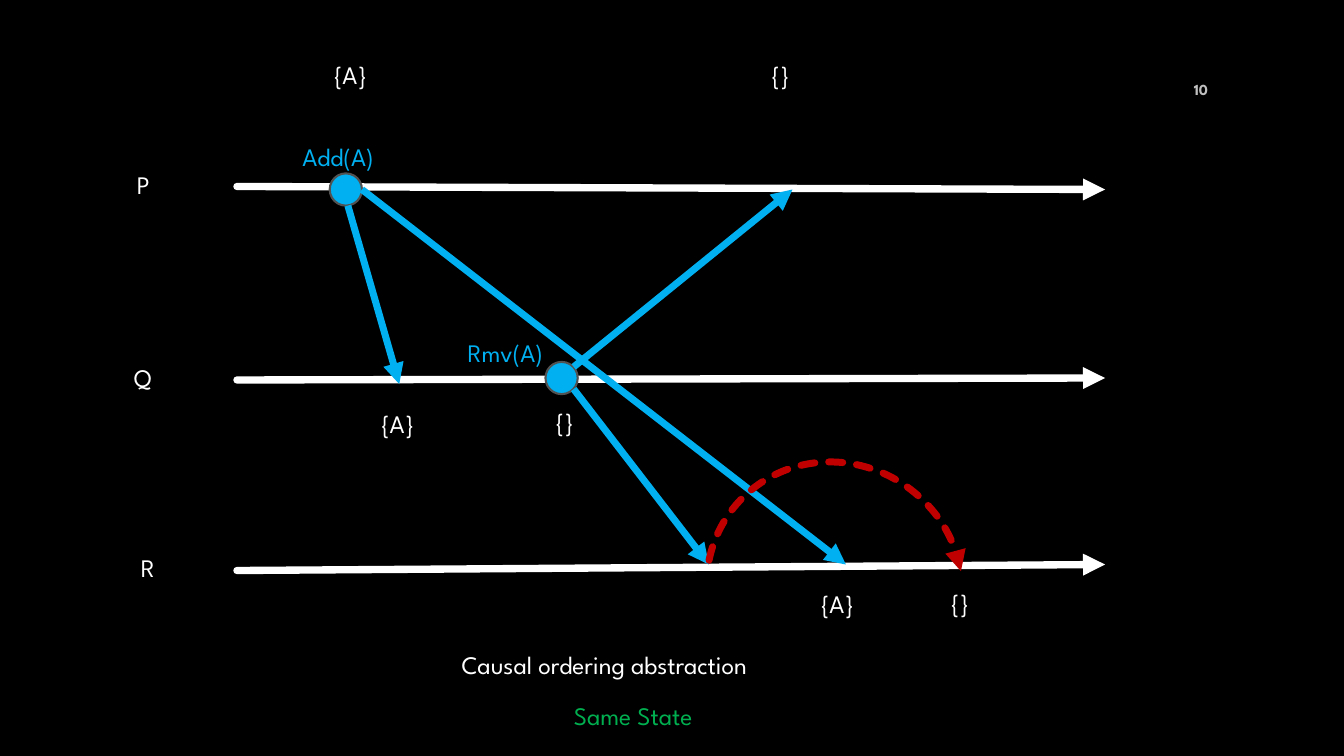
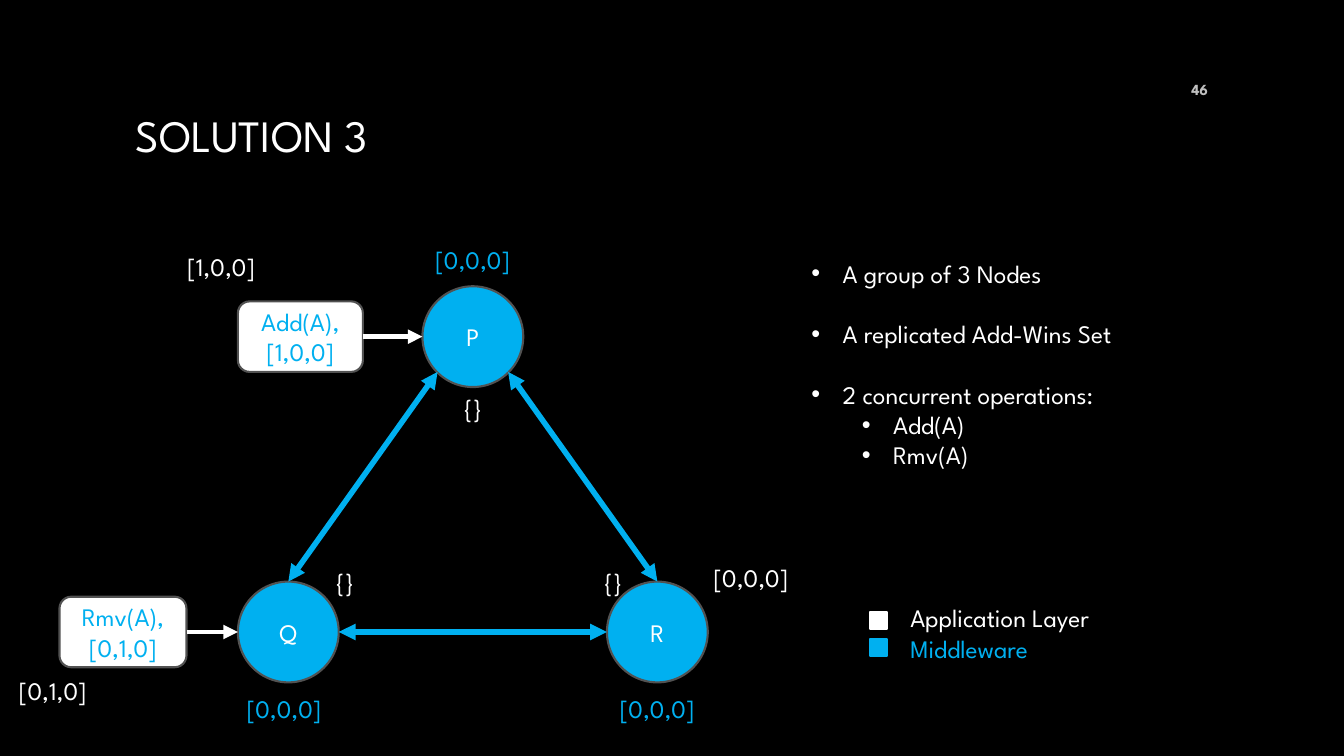
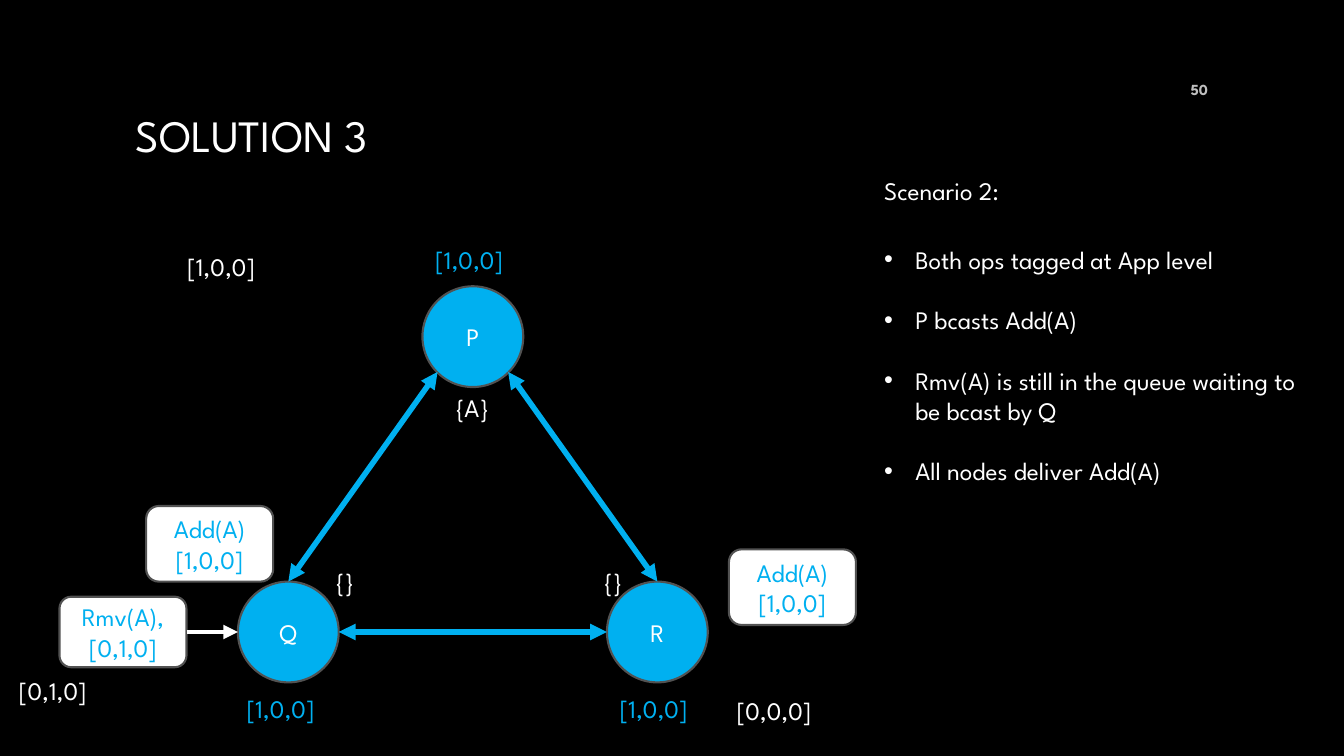
from pptx import Presentation
from pptx.dml.color import RGBColor
from pptx.enum.dml import MSO_LINE
from pptx.enum.shapes import MSO_CONNECTOR, MSO_SHAPE
from pptx.enum.text import MSO_ANCHOR, MSO_AUTO_SIZE, PP_ALIGN
from pptx.oxml.ns import qn
from pptx.util import Inches, Pt
from lxml import etree

BLACK = RGBColor(0x00, 0x00, 0x00)
WHITE = RGBColor(0xFF, 0xFF, 0xFF)
BLUE = RGBColor(0x00, 0xB0, 0xF0)
GREEN = RGBColor(0x00, 0xB0, 0x50)
RED = RGBColor(0xC0, 0x00, 0x00)
GRAY = RGBColor(0xBF, 0xBF, 0xBF)
OUTLINE = RGBColor(0x52, 0x52, 0x52)

FONT = "League Spartan"
BODY_SIZE = 18
LINE_HEIGHT = 21.6
BULLET_INDENT = 0.31
LEVEL_INDENT = 0.5

STRAIGHT = MSO_CONNECTOR.STRAIGHT
ARC = MSO_SHAPE.ARC
OVAL = MSO_SHAPE.OVAL
RECTANGLE = MSO_SHAPE.RECTANGLE
ROUNDED = MSO_SHAPE.ROUNDED_RECTANGLE
DASH = MSO_LINE.SQUARE_DOT
MIDDLE = MSO_ANCHOR.MIDDLE
FIT_SHAPE = MSO_AUTO_SIZE.SHAPE_TO_FIT_TEXT
LEFT, CENTER, RIGHT = PP_ALIGN.LEFT, PP_ALIGN.CENTER, PP_ALIGN.RIGHT

VECTOR_WIDTH = 0.94
SET_WIDTHS = {"{A}": 0.57, "{}": 0.4}
NODES = {"Q": (2.36, 5.77), "R": (6.02, 5.77), "P": (4.19, 2.84)}
VECTOR_PLACES = ((4.22, 2.37), (2.35, 6.83), (6.05, 6.83))


def style(paragraph, color, size=BODY_SIZE, align=LEFT, bold=False):
    paragraph.alignment = align
    font = paragraph.font
    font.name, font.size, font.bold = FONT, Pt(size), bold
    font.color.rgb = color


def add_text(slide, text, left, top, width, height=0.4, color=WHITE,
             wrap=False, anchor=None, **text_style):
    box = slide.shapes.add_textbox(
        Inches(left), Inches(top), Inches(width), Inches(height))
    frame = box.text_frame
    frame.text = text
    frame.word_wrap = wrap
    if anchor is None:
        frame.auto_size = FIT_SHAPE
    else:
        frame.vertical_anchor = anchor
    for paragraph in frame.paragraphs:
        style(paragraph, color, **text_style)
    return frame


def add_set(slide, text, left, top):
    add_text(slide, text, left, top, SET_WIDTHS[text])


def add_vector(slide, text, left, top, color=WHITE):
    add_text(slide, text, left, top, VECTOR_WIDTH, color=color)


def add_shape(slide, kind, left, top, width, height, fill, line=OUTLINE,
              text="", text_color=WHITE):
    shape = slide.shapes.add_shape(
        kind, Inches(left), Inches(top), Inches(width), Inches(height))
    shape.shadow.inherit = False
    shape.fill.solid()
    shape.fill.fore_color.rgb = fill
    shape.line.color.rgb = line
    shape.line.width = Pt(1.5)
    if text:
        frame = shape.text_frame
        frame.text = text
        frame.vertical_anchor = MIDDLE
        for paragraph in frame.paragraphs:
            style(paragraph, text_color, align=CENTER)
    return shape


def add_operation(slide, text, left, top, width=1.26, height=0.75):
    return add_shape(slide, ROUNDED, left, top, width, height, WHITE,
                     text=text, text_color=BLUE)


def finish_line(shape, color, width, ends=("tailEnd",), rounded=False):
    shape.line.color.rgb = color
    shape.line.width = Pt(width)
    line = shape.line._get_or_add_ln()
    if rounded:
        line.set("cap", "rnd")
    for end in ends:
        etree.SubElement(line, qn(f"a:{end}"), type="triangle")


def add_arrow(slide, start, finish, color, width, **line_style):
    arrow = slide.shapes.add_connector(
        STRAIGHT, *(Inches(value) for value in (*start, *finish)))
    finish_line(arrow, color, width, **line_style)
    etree.SubElement(arrow._element.spPr, qn("a:effectLst"))
    return arrow


def add_bullets(slide, items, left, top, width, height):
    """Items are (text, level); each top-level item after the first has a gap."""
    text = "\n".join(item for item, _ in items)
    frame = add_text(slide, text, left, top, width, height, wrap=True)
    for index, (paragraph, (_, level)) in enumerate(zip(frame.paragraphs, items)):
        properties = paragraph._p.get_or_add_pPr()
        properties.set("marL", str(Inches(BULLET_INDENT + LEVEL_INDENT * level)))
        properties.set("indent", str(-Inches(BULLET_INDENT)))
        # Bullet elements must precede the default run properties.
        font_properties = properties.find(qn("a:defRPr"))
        for tag, name, value in (("a:buFont", "typeface", "Arial"),
                                 ("a:buChar", "char", "•")):
            bullet = etree.Element(qn(tag))
            bullet.set(name, value)
            font_properties.addprevious(bullet)
        paragraph.level = level
        if index and level == 0:
            paragraph.space_before = Pt(LINE_HEIGHT)


def new_slide(presentation, number, title=""):
    slide = presentation.slides.add_slide(presentation.slide_layouts[6])
    slide.background.fill.solid()
    slide.background.fill.fore_color.rgb = BLACK
    if title:
        add_text(slide, title, 1.25, 0.67, 10.83, 1.33, wrap=True,
                 anchor=MIDDLE, size=32)
    add_text(slide, number, 11.48, 0.69, 0.6, color=GRAY, wrap=True,
             anchor=MIDDLE, size=11, align=RIGHT, bold=True)
    return slide


def add_network(slide, vector):
    """Three linked nodes, their middleware vectors and the pending Rmv(A)."""
    for name, (left, top) in NODES.items():
        add_shape(slide, OVAL, left, top, 1, 1, BLUE, text=name)
    for start, finish in (((5.04, 3.69), (6.52, 5.77)),
                          ((3.36, 6.27), (6.02, 6.27)),
                          ((4.34, 3.69), (2.86, 5.77))):
        add_arrow(slide, start, finish, BLUE, 4, ends=("headEnd", "tailEnd"))
    for left, top in VECTOR_PLACES:
        add_vector(slide, vector, left, top, BLUE)
    for left in (3.23, 5.89):
        add_set(slide, "{}", left, 5.57)
    add_vector(slide, "[1,0,0]", 1.76, 2.44)
    add_vector(slide, "[0,1,0]", 0.09, 6.65)
    removal = add_operation(slide, "Rmv(A),\n[0,1,0]", 0.59, 5.92, height=0.7)
    add_delivery(slide, removal, (2.36, 6.27))


def add_delivery(slide, operation, finish):
    arrow = add_arrow(slide, finish, finish, WHITE, 3.5)
    arrow.begin_connect(operation, 3)


def build_causal_ordering(presentation):
    slide = new_slide(presentation, "10")
    for start, finish in ((3.77, 3.75), (1.85, 1.88), (5.66, 5.6)):
        add_arrow(slide, (2.35, start), (10.96, finish), WHITE, 5.25, rounded=True)
    for left, top in ((3.27, 1.72), (5.41, 3.59)):
        add_shape(slide, OVAL, left, top, 0.32, 0.32, BLUE)
    for start, finish in (((3.45, 2.04), (3.96, 3.81)),
                          ((3.59, 1.88), (8.39, 5.6)),
                          ((5.69, 3.86), (7.03, 5.6)),
                          ((5.69, 3.64), (7.86, 1.88))):
        add_arrow(slide, start, finish, BLUE, 5)

    for name, left, top in (("P", 1.26, 1.63), ("Q", 1.23, 3.55), ("R", 1.3, 5.43)):
        add_text(slide, name, left, top, 0.4)
    add_text(slide, "Rmv(A)", 4.54, 3.3, 1.1, color=BLUE)
    add_text(slide, "Add(A)", 2.9, 1.35, 1.1, color=BLUE)
    for text, left, top in (("{A}", 3.21, 0.54), ("{}", 7.55, 0.54),
                            ("{}", 5.41, 3.98), ("{A}", 3.68, 4),
                            ("{}", 9.33, 5.78), ("{A}", 8.04, 5.79)):
        add_set(slide, text, left, top)

    delay = add_shape(slide, ARC, 7.03, 4.56, 2.5, 2.59, RED)
    delay.fill.background()
    delay.rotation = 314.7
    delay.adjustments[0], delay.adjustments[1] = 143.2, 22.02
    delay.line.dash_style = DASH
    finish_line(delay, RED, 5, rounded=True)

    add_text(slide, "Same State", 1.26, 6.9, 10.04, color=GREEN, wrap=True,
             anchor=MIDDLE, align=CENTER)
    add_text(slide, "Causal ordering abstraction", 4.48, 6.39, 3.62)


def build_operations(presentation):
    slide = new_slide(presentation, "46", "SOLUTION 3")
    add_network(slide, "[0,0,0]")
    addition = add_operation(slide, "Add(A),\n[1,0,0]", 2.36, 2.99, 1.24, 0.7)
    add_delivery(slide, addition, (4.19, 3.34))
    add_set(slide, "{}", 4.5, 3.84)
    add_vector(slide, "[0,0,0]", 6.98, 5.53)
    add_bullets(slide, (("A group of 3 Nodes", 0),
                        ("A replicated Add-Wins Set", 0),
                        ("2 concurrent operations:", 0),
                        ("Add(A)", 1),
                        ("Rmv(A)", 1)), 7.95, 2.51, 4, 2.22)

    legend = add_text(slide, "Application Layer\nMiddleware", 8.93, 5.93, 2.36, 0.71)
    for paragraph, color, top in zip(legend.paragraphs, (WHITE, BLUE), (6.07, 6.34)):
        style(paragraph, color)
        add_shape(slide, RECTANGLE, 8.63, top, 0.17, 0.17, color, line=color)


def build_scenario(presentation):
    slide = new_slide(presentation, "50", "SOLUTION 3")
    add_network(slide, "[1,0,0]")
    for left, top in ((1.45, 5.02), (7.23, 5.45)):
        add_operation(slide, "Add(A)\n[1,0,0]", left, top)
    add_set(slide, "{A}", 4.42, 3.84)
    add_vector(slide, "[0,0,0]", 7.21, 6.85)
    add_text(slide, "Scenario 2:", 8.67, 1.69, 1.55)
    add_bullets(slide, (("Both ops tagged at App level", 0),
                        ("P bcasts Add(A)", 0),
                        ("Rmv(A) is still in the queue waiting to be bcast by Q", 0),
                        ("All nodes deliver Add(A)", 0)), 8.67, 2.37, 4.53, 2.52)


def main():
    presentation = Presentation()
    presentation.slide_width = Inches(13.33)
    presentation.slide_height = Inches(7.5)
    build_causal_ordering(presentation)
    build_operations(presentation)
    build_scenario(presentation)
    presentation.save("out.pptx")


if __name__ == "__main__":
    main()
